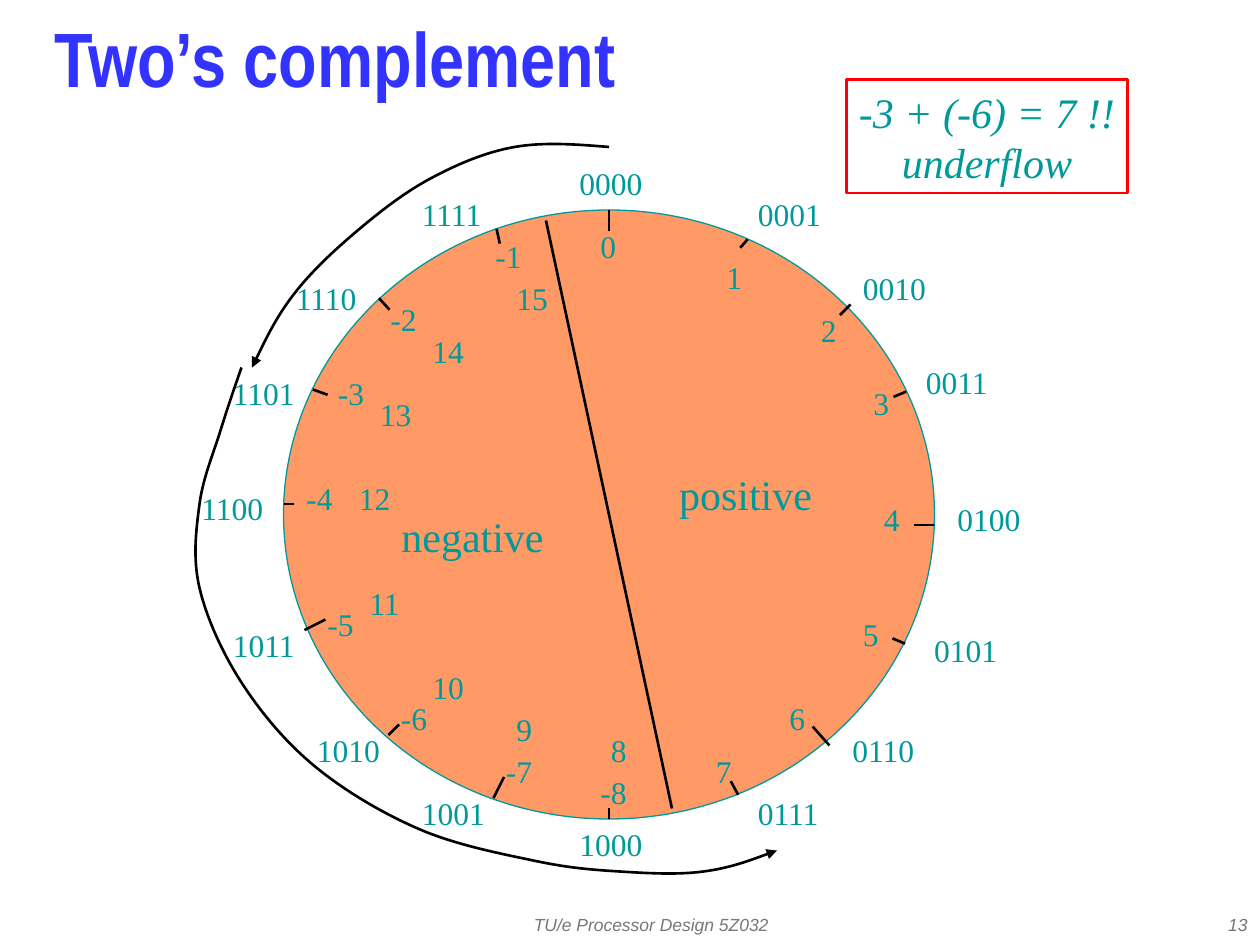
from itertools import pairwise

from lxml.etree import SubElement
from pptx import Presentation
from pptx.dml.color import RGBColor
from pptx.enum.shapes import MSO_CONNECTOR, MSO_SHAPE
from pptx.enum.text import MSO_ANCHOR, MSO_AUTO_SIZE, PP_ALIGN
from pptx.oxml.ns import qn
from pptx.util import Cm, Pt

TEAL = RGBColor(0x00, 0x99, 0x99)
ORANGE = RGBColor(0xFF, 0x99, 0x66)
BLUE = RGBColor(0x33, 0x33, 0xFF)
RED = RGBColor(0xFF, 0x00, 0x00)
INK = RGBColor(0x01, 0x00, 0x00)
GRAY = RGBColor(0x77, 0x77, 0x77)

# All positions are in grid steps, twelve to the inch; lists run clockwise from 0.
CODE_SPOTS = [
    (54, 15), (71, 18), (81, 25), (87, 34), (90, 47), (87.8, 59.5), (80, 69), (71, 75),
    (54, 78), (39, 75), (29, 69), (21, 59), (18, 46), (21, 35), (27, 26), (39, 18),
]
UNSIGNED_SPOTS = [
    (56, 21), (68, 24), (77, 29), (82, 36), (83, 47), (81, 58), (74, 66), (67, 71),
    (57, 69), (48, 67), (40, 63), (34, 55), (33, 45), (35, 37), (40, 31), (48, 26),
]
NEGATIVE_SPOTS = [  # from -8 to -1
    (56, 73), (47, 71), (37, 66), (30, 57), (28, 45), (31, 35), (36, 28), (46, 22),
]
TICKS = [
    ((58, 20), (58, 22)), ((71.2, 22.8), (70.5, 23.6)),
    ((81, 29), (80, 30)), ((86.3, 37.3), (85.1, 37.8)),
    ((89, 50), (87, 50)), ((86.2, 61.3), (85, 60.8)),
    ((79, 71), (77.4, 69.2)), ((70.3, 75.7), (69.6, 74.4)),
    ((58, 78), (58, 77)), ((47, 76), (48, 74)),
    ((37, 70), (38, 69)), ((29, 60), (31, 59)),
    ((27, 48), (28, 48)), ((29.8, 37.1), (31.2, 37.6)),
    ((36.1, 28.4), (37.1, 29.5)), ((47.3, 21.8), (47.6, 23.2)),
]
DIVIDER = ((52, 21), (64, 77))
MINUS_THREE_ARC = [(58, 14), (49, 14), (41, 17), (34, 22), (28, 28), (24, 35)]
MINUS_SIX_ARC = [
    (23, 35), (21, 41), (19, 48), (19, 56), (23, 65), (30, 73),
    (40, 79), (51, 82), (59, 83), (67, 83), (74, 81),
]


def grid(*steps):
    return [Cm(step * 2.54 / 12) for step in steps]


def midpoint(first, second):
    return tuple((a + b) / 2 for a, b in zip(first, second))


def smooth_controls(knots):
    """Return two Bezier handles and an end knot for each span of a smooth curve."""
    slopes = [
        tuple((b - a) / 6 for a, b in zip(before, after))
        for before, after in zip(knots, knots[2:])
    ]
    points = []
    last = len(knots) - 2
    for index, (start, end) in enumerate(pairwise(knots)):
        if index > 0:
            leave = tuple(k + s for k, s in zip(start, slopes[index - 1]))
        if index < last:
            arrive = tuple(k - s for k, s in zip(end, slopes[index]))
        else:
            arrive = midpoint(leave, end)
        if index == 0:
            leave = midpoint(start, arrive)
        points += [leave, arrive, end]
    return points


def write_text(shape, text, size=18, font="Times New Roman", color=TEAL, bold=False,
               italic=False, align=PP_ALIGN.LEFT, anchor=MSO_ANCHOR.TOP,
               spacing=None, fit=True):
    """Fill a shape with text, one paragraph a line; fit means no wrapping."""
    frame = shape.text_frame
    frame.word_wrap = not fit
    frame.auto_size = MSO_AUTO_SIZE.SHAPE_TO_FIT_TEXT if fit else MSO_AUTO_SIZE.NONE
    frame.vertical_anchor = anchor
    for index, line in enumerate(text.split("\n")):
        para = frame.add_paragraph() if index else frame.paragraphs[0]
        para.alignment = align
        if spacing:
            para.line_spacing = spacing
        span = para.add_run()
        span.text = line
        span.font.size = Pt(size)
        span.font.name = font
        span.font.color.rgb = color
        span.font.bold = bold
        span.font.italic = italic


class WheelPage:
    line_width = Pt(1.5)

    def __init__(self, page):
        self.shapes = page.shapes

    def text(self, text, left, top, width, height, **style):
        box = self.shapes.add_textbox(*grid(left, top, width, height))
        write_text(box, text, **style)

    def number(self, text, spot):
        """Place a dial label in a box as wide as its digits and sign."""
        signs = text.count("-")
        width = 2.4 + 1.5 * (len(text) - signs) + signs
        self.text(text, *spot, width, 4.8)

    def shape(self, kind, left, top, width, height, line, fill=None, line_width=None):
        shape = self.shapes.add_shape(kind, *grid(left, top, width, height))
        shape.shadow.inherit = False
        if fill is None:
            shape.fill.background()
        else:
            shape.fill.solid()
            shape.fill.fore_color.rgb = fill
        shape.line.color.rgb = line
        shape.line.width = line_width or self.line_width
        return shape

    def line(self, start, end):
        line = self.shapes.add_connector(MSO_CONNECTOR.STRAIGHT, *grid(*start, *end))
        line.line.color.rgb = INK
        line.line.width = self.line_width
        SubElement(line._element.spPr, qn("a:effectLst"))

    def curved_arrow(self, knots):
        builder = self.shapes.build_freeform(*grid(*knots[0]), scale=1.0)
        builder.add_line_segments([grid(*p) for p in smooth_controls(knots)], close=False)
        arrow = builder.convert_to_shape()
        arrow.shadow.inherit = False
        arrow.fill.background()
        arrow.line.color.rgb = INK
        arrow.line.width = self.line_width
        SubElement(arrow.line._get_or_add_ln(), qn("a:tailEnd"), type="triangle")
        # Turn every three straight steps into one Bezier span.
        outline = next(arrow._element.iter(qn("a:path")))
        steps = outline.findall(qn("a:lnTo"))
        for first in range(0, len(steps), 3):
            curve = SubElement(outline, qn("a:cubicBezTo"))
            for step in steps[first:first + 3]:
                curve.append(step[0])
                outline.remove(step)


def main():
    deck = Presentation()
    deck.slide_width, deck.slide_height = Cm(25.4), Cm(19.05)
    page = WheelPage(deck.slides.add_slide(deck.slide_layouts[6]))
    middle = {"anchor": MSO_ANCHOR.MIDDLE}
    centered = {"align": PP_ALIGN.CENTER, **middle}
    footer = {"size": 10, "font": "Arial", "color": GRAY, "italic": True, "fit": False}

    page.text("Two’s complement", 4, 0, 103, 13, size=44, font="Arial Narrow",
              color=BLUE, bold=True, spacing=0.7, fit=False, **middle)
    page.shape(MSO_SHAPE.OVAL, 27, 20, 62, 58, TEAL, fill=ORANGE, line_width=Pt(0.75))

    for value, spot in enumerate(CODE_SPOTS):
        page.number(format(value, "04b"), spot)
    for value, spot in enumerate(UNSIGNED_SPOTS):
        page.number(str(value), spot)
    for value, spot in enumerate(NEGATIVE_SPOTS, start=-8):
        page.number(str(value), spot)
    for start, end in TICKS:
        page.line(start, end)

    page.curved_arrow(MINUS_THREE_ARC)
    page.curved_arrow(MINUS_SIX_ARC)
    result = page.shape(MSO_SHAPE.RECTANGLE, 80.6, 7.6, 26.8, 10.8, RED)
    write_text(result, "-3 + (-6) = 7 !!\nunderflow", size=24, italic=True, **centered)
    page.line(*DIVIDER)
    page.text("positive", 63, 44, 16, 6, size=24, **centered)
    page.text("negative", 37, 48, 16, 6, size=24, **centered)

    page.text("TU/e Processor Design 5Z032", 43, 86, 38, 4, **footer, **centered)
    page.text("13", 95, 86, 25, 4, align=PP_ALIGN.RIGHT, **footer, **middle)
    deck.save("out.pptx")


if __name__ == "__main__":
    main()
